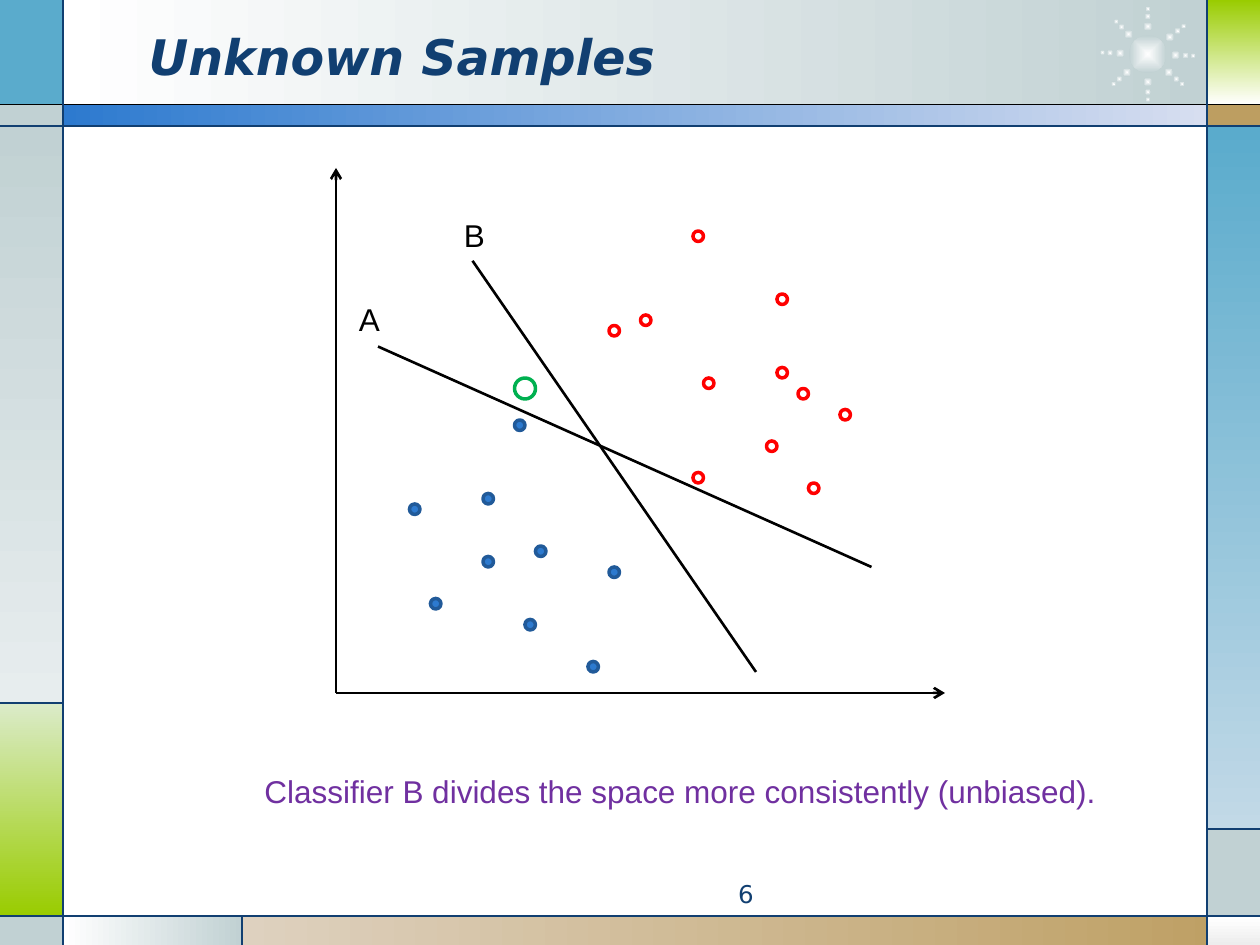
from dataclasses import dataclass
from math import cos, radians, sin

from lxml.etree import SubElement
from pptx import Presentation
from pptx.dml.color import RGBColor
from pptx.enum.shapes import MSO_CONNECTOR as Connector, MSO_SHAPE as Shape
from pptx.enum.text import MSO_ANCHOR as Anchor, MSO_AUTO_SIZE as AutoSize, PP_ALIGN as Align
from pptx.oxml.ns import qn
from pptx.util import Inches, Pt


@dataclass(frozen=True)
class Theme:
    navy: str = "113F71"
    black: str = "000000"
    white: str = "FFFFFF"
    mist: str = "C1D1D3"
    pale_mist: str = "E7EDEE"
    silver: str = "EDEDED"
    teal: str = "5AABCC"
    pale_teal: str = "C2D9E7"
    green: str = "99CC00"
    pale_green: str = "DBEBC9"
    tan: str = "BD9E61"
    pale_tan: str = "DED1BF"
    blue: str = "2D7ACF"
    pale_blue: str = "D7DEF0"
    dot_edge: str = "215A99"
    red: str = "FF0000"
    unknown: str = "00B050"
    purple: str = "7030A0"
    heading_font: str = "DejaVu Sans"
    body_font: str = "Arial"
    title_size: int = 28
    body_size: int = 18
    number_size: int = 14


THEME = Theme()
GRID = 1 / 12  # plot coordinates are counted in twelfths of an inch

KNOWN_BLUE = [(7, 32), (14, 31), (14, 37), (26, 38), (19, 36),
              (18, 43), (17, 24), (24, 47), (9, 41)]
KNOWN_RED = [(29, 14), (42, 19), (34, 6), (35, 20), (34, 29), (26, 15),
             (41, 26), (42, 12), (45, 30), (48, 23), (44, 21)]
UNKNOWN = (17, 20)
# name, label corner, line start, line end
CLASSIFIERS = [("A", (1, 12), (4, 17), (51, 38)),
               ("B", (11, 4), (13, 8.84), (40, 48))]


def color(value):
    return RGBColor.from_string(value)


def paint(fill, colors, angle=0):
    """Fill with one colour, or with a gradient; an angle of None makes it radial."""
    if len(colors) == 1:
        fill.solid()
        fill.fore_color.rgb = color(colors[0])
        return
    fill.gradient()
    for stop, value in zip(fill.gradient_stops, colors):
        stop.color.rgb = color(value)
    fill.gradient_angle = -(angle or 0) % 360


def make_radial(shape):
    gradient = shape._element.spPr.find(qn("a:gradFill"))
    gradient.remove(gradient.find(qn("a:lin")))
    radial = SubElement(gradient, qn("a:path"), path="shape")
    SubElement(radial, qn("a:fillToRect"), l="50000", t="50000", r="50000", b="50000")


def add_area(shapes, kind, box, colors=(), angle=0, edge=None):
    shape = shapes.add_shape(kind, *map(Inches, box))
    shape.shadow.inherit = False
    if colors:
        paint(shape.fill, colors, angle)
    else:
        shape.fill.background()
    if edge:
        shape.line.color.rgb = color(edge)
        shape.line.width = Pt(2)
    else:
        shape.line.fill.background()
    return shape


def add_line(shapes, start, end, value, width, arrow=False):
    line = shapes.add_connector(Connector.STRAIGHT, *map(Inches, (*start, *end)))
    line.line.color.rgb = color(value)
    line.line.width = Pt(width)
    if arrow:
        SubElement(line.line._get_or_add_ln(), qn("a:tailEnd"), type="arrow")
    SubElement(line._element.spPr, qn("a:effectLst"))


def write(paragraph, text, font, size, value):
    run = paragraph.add_run()
    run.text = text
    run.font.name = font
    run.font.size = Pt(size)
    run.font.color.rgb = color(value)
    return run


def add_label(shapes, box, text, value):
    frame = shapes.add_textbox(*map(Inches, box)).text_frame
    frame.word_wrap = False
    frame.auto_size = AutoSize.SHAPE_TO_FIT_TEXT
    write(frame.paragraphs[0], text, THEME.body_font, THEME.body_size, value)


def add_frame(shapes, width, height):
    """Coloured bands around the edge of the slide, with their dividing lines."""
    t = THEME
    left, right, head, body, foot = 0.5, width - 0.42, 0.83, 1, 7.27
    green_top, mist_top, tan_left = 5.58, 6.58, 1.92
    side, strip, base = width - right, body - head, height - foot
    bands = [
        ((left, 0, right - left, head), (t.white, t.mist), 0),
        ((0, 0, left, head), (t.teal,), 0),
        ((0, head, left, strip), (t.mist,), 0),
        ((0, body, left, green_top - body), (t.mist, t.pale_mist), 90),
        ((0, green_top, left, foot - green_top), (t.pale_green, t.green), 90),
        ((0, foot, left, base), (t.mist,), 0),
        ((left, foot, tan_left - left, base), (t.white, t.mist), 0),
        ((tan_left, foot, width - tan_left, base), (t.pale_tan, t.tan), 0),
        ((right, foot, side, base), (t.white, t.silver), 90),
        ((right, mist_top, side, foot - mist_top), (t.mist,), 0),
        ((right, body, side, mist_top - body), (t.teal, t.pale_teal), 90),
        ((right, head, side, strip), (t.tan,), 0),
        ((right, 0, side, head), (t.green, t.white), 90),
        ((left, head, right - left, strip), (t.blue, t.pale_blue), 0),
    ]
    for box, colors, angle in bands:
        add_area(shapes, Shape.RECTANGLE, box, colors, angle)
    add_sunburst(shapes, (8.74, 0.06, 0.74, 0.74))
    add_line(shapes, (0, head), (width, head), t.black, 0.75)
    dividers = [((0, body), (width, body)), ((0, foot), (width, foot)),
                ((left, 0), (left, height)), ((right, 0), (right, height)),
                ((0, green_top), (left, green_top)),
                ((tan_left, foot), (tan_left, height)),
                ((right, mist_top), (width, mist_top))]
    for start, end in dividers:
        add_line(shapes, start, end, t.navy, 0.75)


def add_sunburst(shapes, box):
    """A round core with eight rays of three shrinking dots."""
    left, top, width, height = box
    center_x, center_y = left + width / 2, top + height / 2
    dots = [(0, 0, 0.3)]
    for angle in (2, 41, 90, 139, 182, 226, 270, 322):
        for distance, size in ((0.22, 0.07), (0.3, 0.05), (0.36, 0.04)):
            dots.append((distance * cos(radians(angle)), distance * sin(radians(angle)), size))
    group = shapes.add_group_shape()
    for x, y, size in dots:
        dot_box = (center_x + x - size / 2, center_y + y - size / 2, size, size)
        make_radial(add_area(group.shapes, Shape.OVAL, dot_box, (THEME.white, THEME.mist)))


def add_plot(shapes, box):
    left, top, width, height = box

    def place(point):
        return left + point[0] * GRID, top + point[1] * GRID

    def add_dots(points, size, edge, colors=()):
        for point in points:
            add_area(shapes, Shape.OVAL, (*place(point), size, size), colors, edge=edge)

    origin = (left, top + height)
    for tip in ((left + width, top + height), (left, top)):
        add_line(shapes, origin, tip, THEME.black, 1.5, arrow=True)
    add_dots(KNOWN_BLUE, GRID, THEME.dot_edge, (THEME.blue,))
    add_dots(KNOWN_RED, GRID, THEME.red)
    for name, corner, start, end in CLASSIFIERS:
        add_line(shapes, place(start), place(end), THEME.black, 1.5)
        add_label(shapes, (*place(corner), 0.37, 0.4), name, THEME.black)
    add_dots([UNKNOWN], 2 * GRID, THEME.unknown)


def add_title(slide, box, text):
    title = slide.shapes.title
    slide.shapes._spTree.append(title._element)  # bring in front of the frame
    title.left, title.top, title.width, title.height = map(Inches, box)
    frame = title.text_frame
    frame.vertical_anchor = Anchor.MIDDLE
    frame.auto_size = AutoSize.NONE
    paragraph = frame.paragraphs[0]
    paragraph.alignment = Align.LEFT
    run = write(paragraph, text, THEME.heading_font, THEME.title_size, THEME.navy)
    run.font.bold = run.font.italic = True


def add_page_number(shapes, box, text):
    frame = shapes.add_textbox(*map(Inches, box)).text_frame
    frame.word_wrap = True
    paragraph = frame.paragraphs[0]
    paragraph.alignment = Align.RIGHT
    write(paragraph, text, THEME.heading_font, THEME.number_size, THEME.navy)


def main():
    presentation = Presentation()
    presentation.slide_width, presentation.slide_height = Inches(10), Inches(7.5)
    slide = presentation.slides.add_slide(presentation.slide_layouts[5])
    add_frame(slide.shapes, 10, 7.5)
    add_title(slide, (1.08, 0.13, 7.33, 0.62), "Unknown Samples")
    add_page_number(slide.shapes, (3.75, 6.93, 2.33, 0.27), "6")
    add_plot(slide.shapes, (32 * GRID, 16 * GRID, 58 * GRID, 50 * GRID))
    add_label(slide.shapes, (2, 6.08, 6.86, 0.4),
              "Classifier B divides the space more consistently (unbiased).", THEME.purple)
    presentation.save("out.pptx")


if __name__ == "__main__":
    main()
